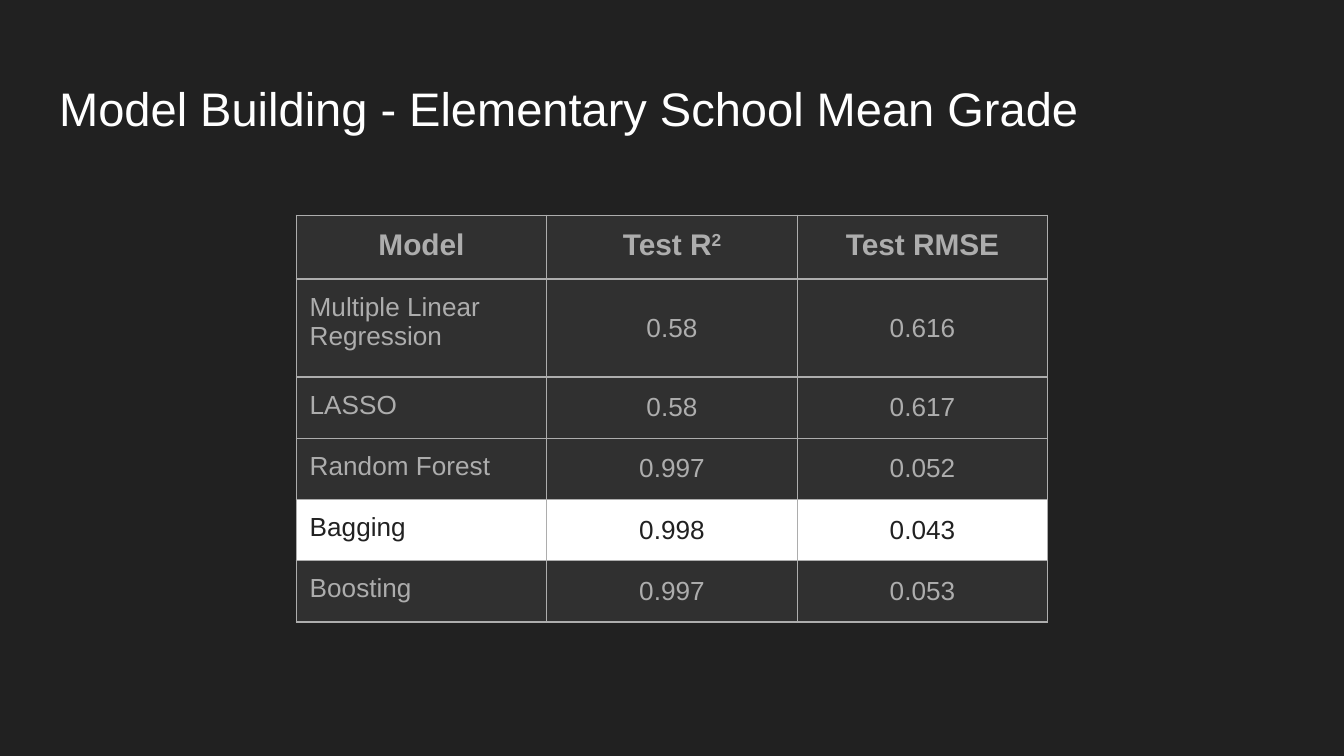
import pptx
import pptx.dml.color
import pptx.enum.text
import pptx.oxml
import pptx.oxml.ns
import pptx.util

Pt = pptx.util.Pt
RGBColor = pptx.dml.color.RGBColor
Align = pptx.enum.text.PP_ALIGN
Anchor = pptx.enum.text.MSO_ANCHOR

BACKGROUND = RGBColor(0x21, 0x21, 0x21)
PANEL = RGBColor(0x30, 0x30, 0x30)
GRAY = RGBColor(0xAD, 0xAD, 0xAD)
WHITE = RGBColor(0xFF, 0xFF, 0xFF)

FONT = "Arial"
INSET = 7.2
BEST_MODEL = "Bagging"
HEADERS = ("Model", "Test R", "Test RMSE")
RESULTS = (
    ("Multiple Linear Regression", "0.58", "0.616"),
    ("LASSO", "0.58", "0.617"),
    ("Random Forest", "0.997", "0.052"),
    ("Bagging", "0.998", "0.043"),
    ("Boosting", "0.997", "0.053"),
)
ROW_HEIGHTS = (34.2, 52.5) + (32.8,) * 4


def style_font(font, size, color, bold=False):
    font.name = FONT
    font.size = Pt(size)
    font.bold = bold
    font.color.rgb = color


def set_margins(target, horizontal, vertical):
    target.margin_left = target.margin_right = Pt(horizontal)
    target.margin_top = target.margin_bottom = Pt(vertical)


def add_borders(cell, color, width):
    properties = cell._tc.get_or_add_tcPr()
    for position, side in enumerate(("lnL", "lnR", "lnT", "lnB")):
        line = pptx.oxml.parse_xml(
            f'<a:{side} {pptx.oxml.ns.nsdecls("a")} w="{Pt(width)}">'
            f'<a:solidFill><a:srgbClr val="{color}"/></a:solidFill></a:{side}>'
        )
        properties.insert(position, line)


def place_title(page, left, top, width, height):
    title = page.shapes.title
    title.left, title.top = Pt(left), Pt(top)
    title.width, title.height = Pt(width), Pt(height)
    frame = title.text_frame
    frame.text = "Model Building - Elementary School Mean Grade"
    frame.word_wrap = True
    frame.auto_size = pptx.enum.text.MSO_AUTO_SIZE.NONE
    frame.vertical_anchor = Anchor.BOTTOM
    set_margins(frame, INSET, INSET)
    para = frame.paragraphs[0]
    para.alignment = Align.LEFT
    style_font(para.runs[0].font, 25.2, WHITE)


def fill_cell(cell, text, is_header, is_name, is_best):
    cell.text = text
    cell.fill.solid()
    cell.fill.fore_color.rgb = WHITE if is_best else PANEL
    if is_header or is_name:
        cell.vertical_anchor = Anchor.TOP
        set_margins(cell, INSET, INSET)
    else:
        cell.vertical_anchor = Anchor.MIDDLE
        set_margins(cell, 6, 3)
    para = cell.text_frame.paragraphs[0]
    para.alignment = Align.LEFT if is_name and not is_header else Align.CENTER
    color = BACKGROUND if is_best else GRAY
    style_font(para.runs[0].font, 16 if is_header else 14, color, is_header)
    add_borders(cell, GRAY, 0.75)


def add_superscript(para, text):
    span = para.add_run()
    span.text = text
    style_font(span.font, 16, GRAY, True)
    span._r.get_or_add_rPr().set("baseline", "30000")


def place_results(page, left, top, width, height):
    rows = (HEADERS,) + RESULTS
    frame = page.shapes.add_table(
        len(rows), len(HEADERS), Pt(left), Pt(top), Pt(width), Pt(height)
    )
    table = frame.table
    table.horz_banding = False
    for column in table.columns:
        column.width = Pt(width / len(HEADERS))
    for row, row_height in zip(table.rows, ROW_HEIGHTS):
        row.height = Pt(row_height)
    for row_index, texts in enumerate(rows):
        for column_index, text in enumerate(texts):
            fill_cell(
                table.cell(row_index, column_index),
                text,
                is_header=row_index == 0,
                is_name=column_index == 0,
                is_best=texts[0] == BEST_MODEL,
            )
    add_superscript(table.cell(0, 1).text_frame.paragraphs[0], "2")


def main():
    deck = pptx.Presentation()
    deck.slide_width, deck.slide_height = Pt(720), Pt(405)
    page = deck.slides.add_slide(deck.slide_layouts[5])
    page.background.fill.solid()
    page.background.fill.fore_color.rgb = BACKGROUND
    place_title(page, 24.5, 35, 671, 45.1)
    place_results(page, 158.7, 115.3, 402.6, sum(ROW_HEIGHTS))
    deck.save("out.pptx")


if __name__ == "__main__":
    main()
